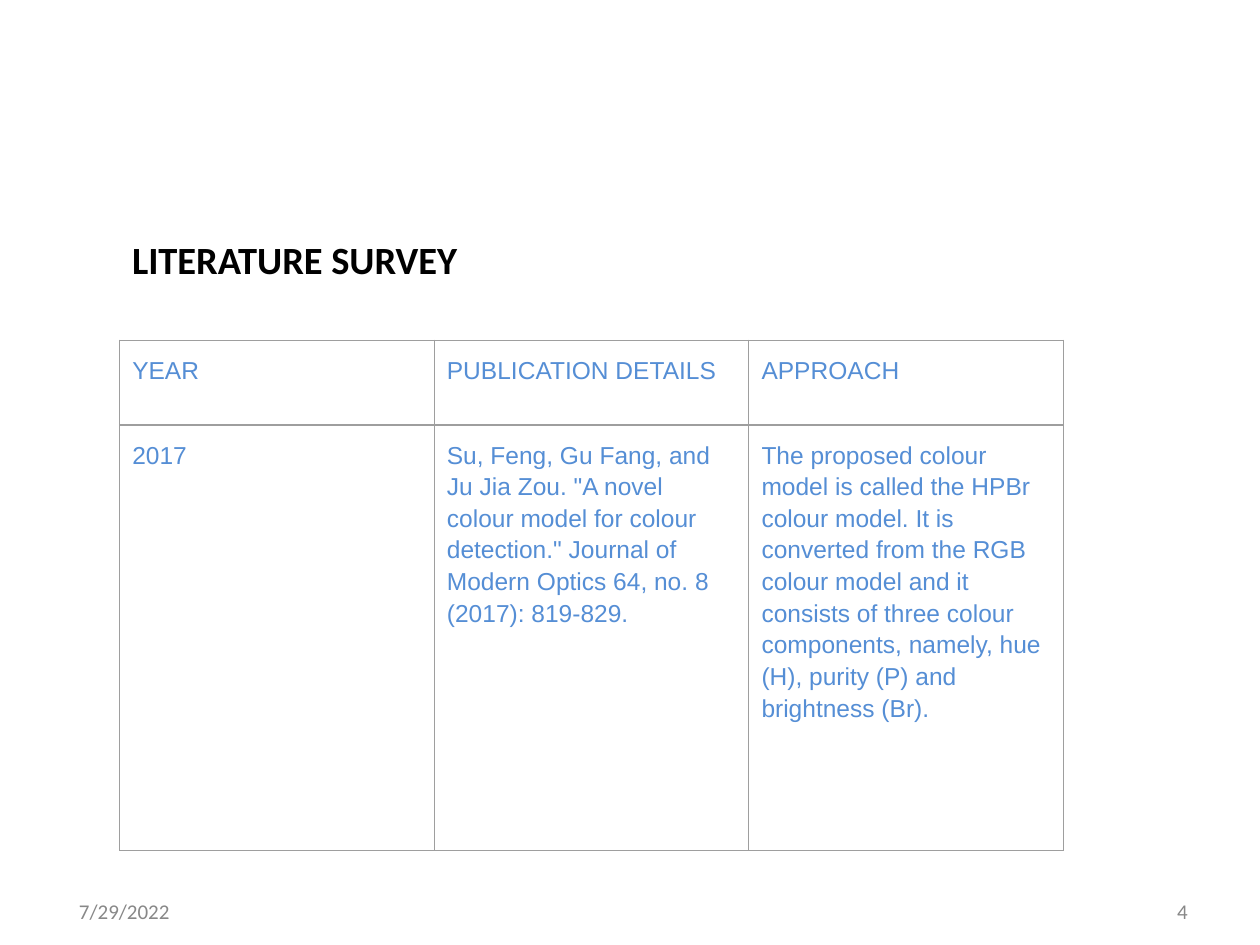
from dataclasses import dataclass

from lxml import etree
from pptx import Presentation
from pptx import util as u
from pptx.dml import color
from pptx.enum import text
from pptx.oxml import ns

INSET = 7.2
BORDER_COLOUR = "9E9E9E"
BORDER_WIDTH = 0.75
COLUMN_WIDTH = 179.8
ROW_HEIGHTS = (48.5, 243.3)
ROWS = (
    ("YEAR", "PUBLICATION DETAILS", "APPROACH"),
    (
        "2017",
        'Su, Feng, Gu Fang, and Ju Jia Zou. "A novel colour model for colour '
        'detection." Journal of Modern Optics 64, no. 8 (2017): 819-829.',
        "The proposed colour model is called the HPBr colour model. It is "
        "converted from the RGB colour model and it consists of three colour "
        "components, namely, hue (H), purity (P) and brightness (Br).",
    ),
)


@dataclass(frozen=True)
class Label:
    words: str
    left: float
    top: float
    width: float
    height: float
    size: float
    colour: str
    anchor: text.MSO_ANCHOR = text.MSO_ANCHOR.MIDDLE
    align: text.PP_ALIGN = text.PP_ALIGN.LEFT
    bold: bool = False
    vertical_inset: float = 3.6


LABELS = (
    Label("7/29/2022", 38, 506.2, 168, 28.8, 12, "888888"),
    Label("4", 517.8, 506.2, 168, 28.8, 12, "888888", align=text.PP_ALIGN.RIGHT),
    Label("LITERATURE SURVEY", 68.4, 117.4, 211.7, 51.1, 22, "000000",
          anchor=text.MSO_ANCHOR.BOTTOM, bold=True, vertical_inset=INSET),
)


def rgb(value: str) -> color.RGBColor:
    return color.RGBColor.from_string(value)


def write(frame, words: str, *, size: float, colour: str, font: str = "Calibri",
          bold: bool = False, align=text.PP_ALIGN.LEFT, spacing: float = 1.0) -> None:
    para = frame.paragraphs[0]
    para.alignment = align
    para.line_spacing = spacing
    span = para.add_run()
    span.text = words
    span.font.name = font
    span.font.size = u.Pt(size)
    span.font.bold = bold
    span.font.color.rgb = rgb(colour)


def set_insets(target, horizontal: float, vertical: float) -> None:
    target.margin_left = target.margin_right = u.Pt(horizontal)
    target.margin_top = target.margin_bottom = u.Pt(vertical)


def draw_label(page, label: Label) -> None:
    box = page.shapes.add_textbox(u.Pt(label.left), u.Pt(label.top),
                                  u.Pt(label.width), u.Pt(label.height))
    frame = box.text_frame
    frame.word_wrap = True
    frame.vertical_anchor = label.anchor
    set_insets(frame, INSET, label.vertical_inset)
    write(frame, label.words, size=label.size, colour=label.colour,
          bold=label.bold, align=label.align)


def draw_borders(cell) -> None:
    properties = cell._tc.get_or_add_tcPr()
    for position, side in enumerate(("lnL", "lnR", "lnT", "lnB")):
        line = etree.Element(ns.qn(f"a:{side}"), w=str(u.Pt(BORDER_WIDTH)))
        fill = etree.SubElement(line, ns.qn("a:solidFill"))
        etree.SubElement(fill, ns.qn("a:srgbClr"), val=BORDER_COLOUR)
        properties.insert(position, line)


def draw_survey(page) -> None:
    column_count = len(ROWS[0])
    holder = page.shapes.add_table(len(ROWS), column_count, u.Pt(68.4), u.Pt(194.4),
                                   u.Pt(COLUMN_WIDTH * column_count),
                                   u.Pt(sum(ROW_HEIGHTS)))
    table = holder.table
    table.first_row = False
    table.horz_banding = False
    for column in table.columns:
        column.width = u.Pt(COLUMN_WIDTH)
    for row, height, entries in zip(table.rows, ROW_HEIGHTS, ROWS):
        row.height = u.Pt(height)
        for cell, words in zip(row.cells, entries):
            cell.fill.background()
            set_insets(cell, INSET, INSET)
            draw_borders(cell)
            write(cell.text_frame, words, size=14, colour="558ED5",
                  font="Arial", spacing=1.15)


def main() -> None:
    deck = Presentation()
    deck.slide_width, deck.slide_height = u.Pt(720), u.Pt(540)
    page = deck.slides.add_slide(deck.slide_layouts[6])
    for label in LABELS:
        draw_label(page, label)
    draw_survey(page)
    deck.save("out.pptx")


if __name__ == "__main__":
    main()
